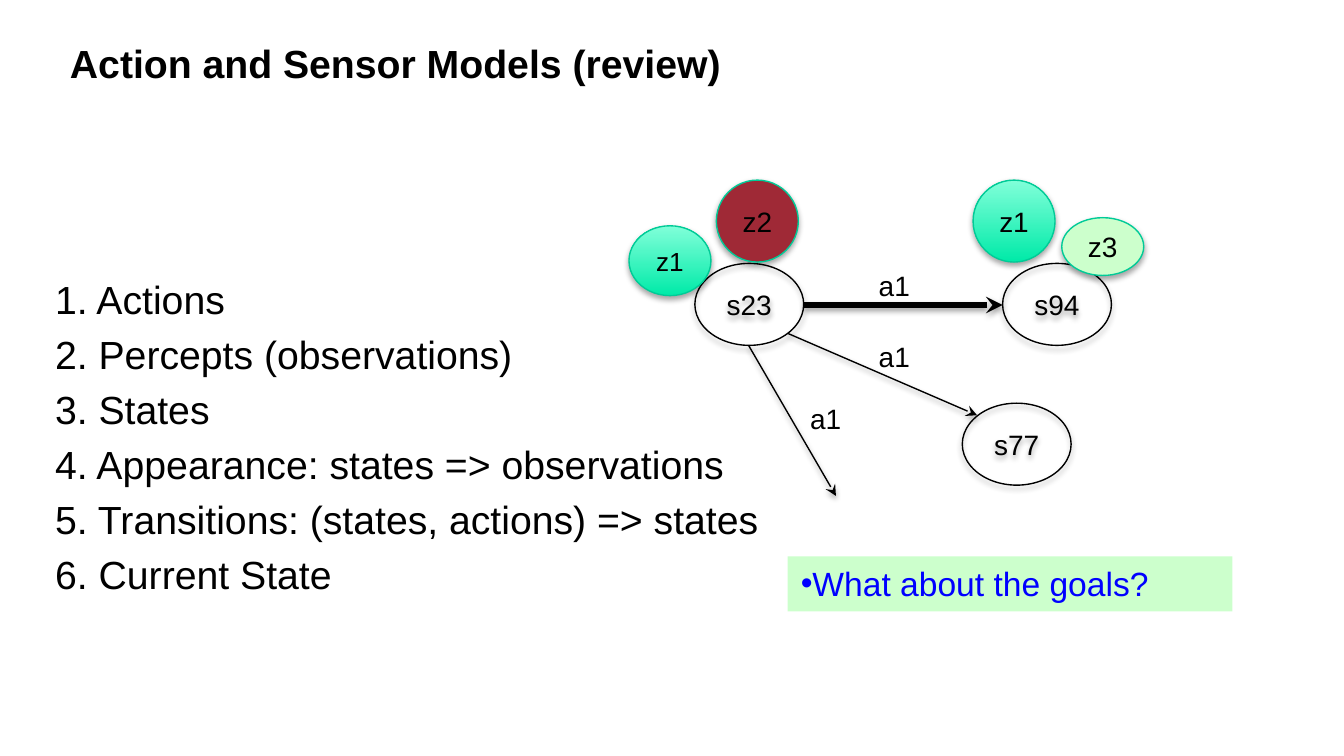
"""Build a slide reviewing action and sensor models with a state diagram."""
from lxml import etree
from pptx import Presentation
from pptx import util as u
from pptx.dml.color import RGBColor
from pptx.enum import shapes, text
from pptx.oxml import parse_xml
from pptx.oxml.ns import nsdecls, qn

COLORS = {
    "black": "000000", "blue": "0000FF", "teal": "00CB97", "teal_deep": "00EAA8",
    "teal_light": "81FFD9", "red": "9F2936", "green": "CCFFCC",
}
FONT = "Arial"
TITLE = "Action and Sensor Models (review)"
ITEMS = ["Actions", "Percepts (observations)", "States", "Appearance: states => observations",
         "Transitions: (states, actions) => states", "Current State"]
QUESTION = "What about the goals?"
STATE_SIZE = (0.81, 0.61)
STATES = [("s23", 5.17, 1.96), ("s94", 7.46, 1.96), ("s77", 7.16, 3)]
PERCEPTS = [  # label, left, top, height, fill, font size
    ("z1", 4.68, 1.68, 0.52, "gradient", 14),
    ("z1", 7.24, 1.34, 0.61, "gradient", 15),
    ("z2", 5.33, 1.34, 0.61, "red", 15),
    ("z3", 7.9, 1.62, 0.43, "green", 15),
]
PERCEPT_WIDTH = 0.61
ARROWS = [  # start, end, line width, label position
    ((5.98, 2.27), (7.46, 2.27), 3, (6.44, 1.95)),
    ((5.86, 2.48), (7.27, 3.09), 0.75, (6.44, 2.48)),
    ((5.57, 2.57), (6.22, 3.69), 0.75, (5.93, 2.94)),
]
ACTION = "a1"


def rgb(name):
    return RGBColor.from_string(COLORS[name])


def place(shape, left, top, width, height):
    shape.left, shape.top, shape.width, shape.height = map(u.Inches, (left, top, width, height))


def write(shape, lines, size=15, color="black", bold=False, align=text.PP_ALIGN.LEFT,
          anchor=text.MSO_ANCHOR.TOP, wrap=True, gap=0):
    frame = shape.text_frame
    frame.text = "\n".join(lines)
    frame.auto_size = text.MSO_AUTO_SIZE.NONE
    frame.word_wrap = wrap
    frame.vertical_anchor = anchor
    for index, paragraph in enumerate(frame.paragraphs):
        paragraph.alignment = align
        paragraph.space_before = u.Pt(gap if index else 0)
        font = paragraph.runs[0].font
        font.name, font.size, font.bold = FONT, u.Pt(size), bold
        font.color.rgb = rgb(color)


def set_bullet(paragraph, indent=0, char=None, color="black"):
    properties = paragraph._p.get_or_add_pPr()
    properties.set("marL", "0")
    properties.set("indent", str(u.Inches(indent)))
    if char:
        bullet_color = etree.SubElement(properties, qn("a:buClr"))
        etree.SubElement(bullet_color, qn("a:srgbClr"), val=COLORS[color])
        etree.SubElement(properties, qn("a:buFont"), typeface=FONT)
        etree.SubElement(properties, qn("a:buChar"), char=char)
    else:
        etree.SubElement(properties, qn("a:buNone"))


def add_shadow(shape, distance, opacity):
    shape._element.spPr.append(parse_xml(
        f'<a:effectLst {nsdecls("a")}><a:outerShdw blurRad="{u.Pt(3.1)}" dist="{u.Pt(distance)}" '
        f'dir="5400000" rotWithShape="0"><a:srgbClr val="{COLORS["black"]}">'
        f'<a:alpha val="{opacity * 1000}"/></a:srgbClr></a:outerShdw></a:effectLst>'))


def add_ellipse(slide, label, box, fill=None, line="black", size=15):
    shape = slide.shapes.add_shape(shapes.MSO_SHAPE.OVAL, *map(u.Inches, box))
    if fill == "gradient":
        shape.fill.gradient()
        shape.fill.gradient_angle = 90
        for stop, name in zip(shape.fill.gradient_stops, ("teal_deep", "teal_light")):
            stop.color.rgb = rgb(name)
    elif fill:
        shape.fill.solid()
        shape.fill.fore_color.rgb = rgb(fill)
    else:
        shape.fill.background()
    shape.line.color.rgb = rgb(line)
    shape.line.width = u.Pt(0.75)
    add_shadow(shape, 1.8, 35)
    write(shape, [label], size=size, align=text.PP_ALIGN.CENTER,
          anchor=text.MSO_ANCHOR.MIDDLE, wrap=False)


def add_arrow(slide, start, end, width):
    arrow = slide.shapes.add_connector(
        shapes.MSO_CONNECTOR.STRAIGHT, *map(u.Inches, start + end))
    arrow.line.color.rgb = rgb("black")
    arrow.line.width = u.Pt(width)
    etree.SubElement(arrow.line._get_or_add_ln(), qn("a:tailEnd"), type="stealth")
    add_shadow(arrow, 1.6, 38)


def main():
    presentation = Presentation()
    presentation.slide_width = u.Inches(10)
    presentation.slide_height = presentation.slide_width * 9 // 16
    slide = presentation.slides.add_slide(presentation.slide_layouts[1])

    title, body = slide.placeholders
    place(title, 0.42, 0.12, 8.5, 0.69)
    write(title, [TITLE], size=21, bold=True, anchor=text.MSO_ANCHOR.MIDDLE)
    place(body, 0.31, 2, 5.54, 2.51)
    write(body, [f"{number}. {item}" for number, item in enumerate(ITEMS, 1)], size=21, gap=4.2)
    for paragraph in body.text_frame.paragraphs:
        set_bullet(paragraph)

    for label, left, top in STATES:
        add_ellipse(slide, label, (left, top, *STATE_SIZE))
    for label, left, top, height, fill, size in PERCEPTS:
        add_ellipse(slide, label, (left, top, PERCEPT_WIDTH, height), fill, "teal", size)
    for start, end, width, position in ARROWS:
        add_arrow(slide, start, end, width)
        label = slide.shapes.add_textbox(*map(u.Inches, (*position, 0.44, 0.35)))
        write(label, [ACTION], wrap=False)

    question = slide.shapes.add_shape(
        shapes.MSO_SHAPE.RECTANGLE, *map(u.Inches, (5.86, 4.14, 3.31, 0.41)))
    question.shadow.inherit = False
    question.fill.solid()
    question.fill.fore_color.rgb = rgb("green")
    question.line.fill.background()
    write(question, [QUESTION], size=18, color="blue")
    set_bullet(question.text_frame.paragraphs[0], indent=-0.12, char="•", color="blue")

    presentation.save("out.pptx")


if __name__ == "__main__":
    main()
